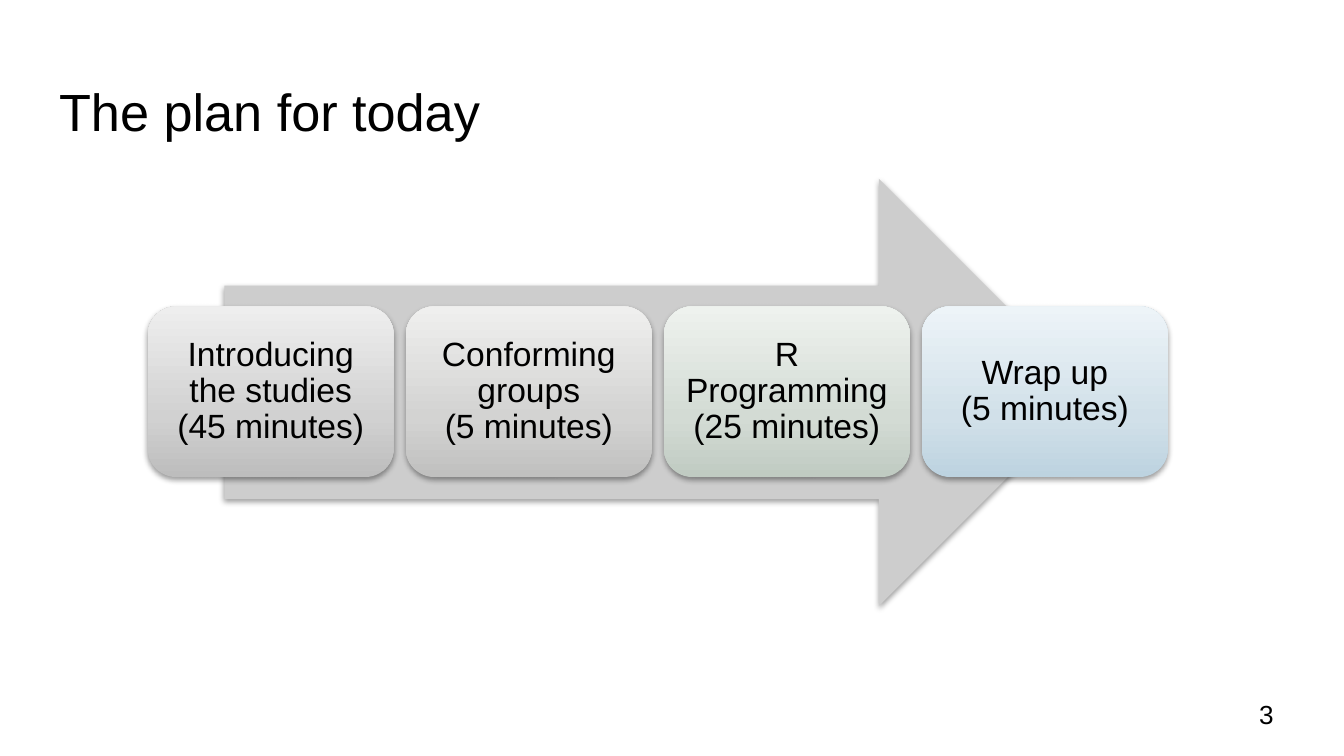
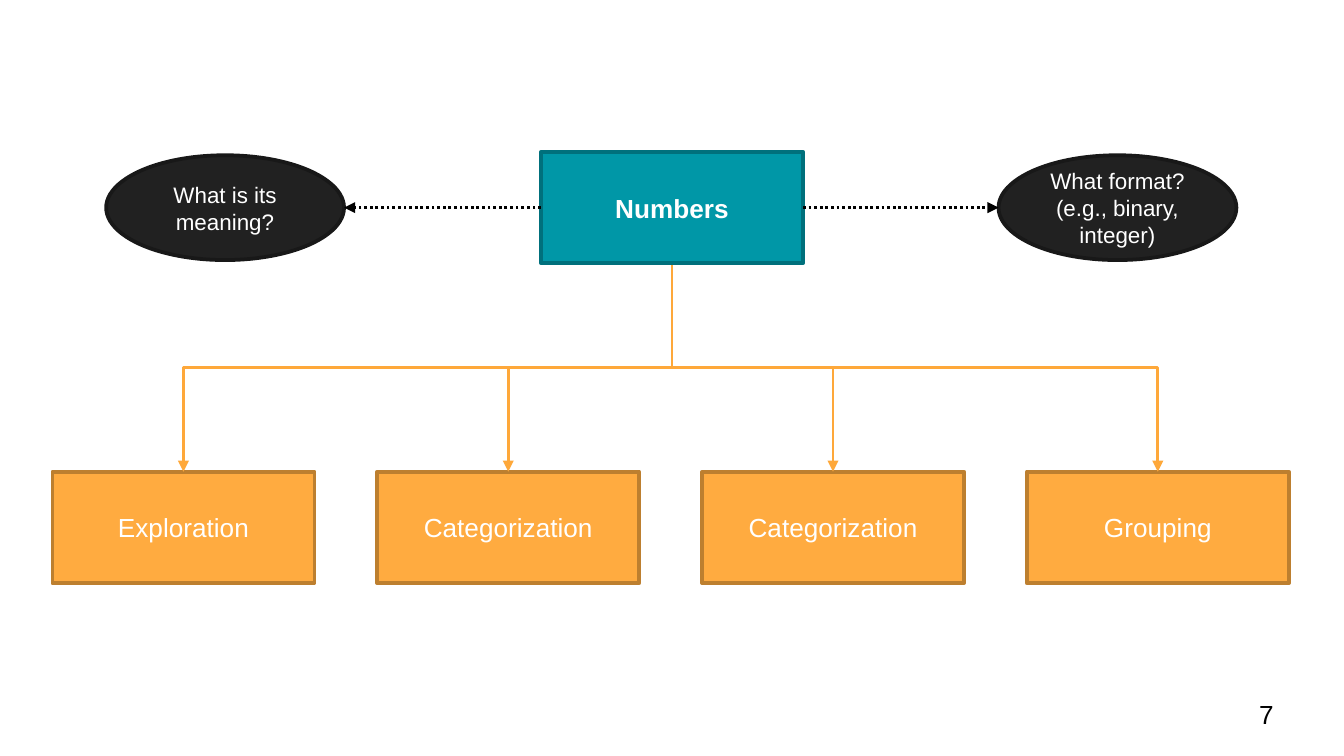
from copy import deepcopy

from lxml import etree
from pptx import Presentation
from pptx.dml.color import RGBColor
from pptx.enum import dml, shapes, text
from pptx.oxml.ns import qn
from pptx.util import Inches, Pt

# Content
PLAN_TITLE = "The plan for today"
PLAN_STEPS = [  # label, gradient from bottom to top
    ("Introducing the studies (45 minutes)", ("BDBDBD", "D1D1D1", "EEEEEE")),
    ("Conforming groups\v(5 minutes)", ("C0C0BF", "D3D3D2", "EFEFEE")),
    ("R Programming (25 minutes)", ("C0CBC2", "D3DBD4", "EEF2EE")),
    ("Wrap up\v(5 minutes)", ("BDD3E0", "D1E0E9", "EDF4F8")),
]
ROOT = "Numbers"
QUESTIONS = [("What is its meaning?", 0.79),
             ("What format? (e.g., binary, integer)", 7.43)]
TASKS = ["Exploration", "Categorization", "Categorization", "Grouping"]

# Style
FONT = "Arial"
COLORS = {
    "black": "000000", "white": "FFFFFF", "arrow": "CDCDCD",
    "task": "FFAB40", "task_edge": "BD7F2F", "branch": "FEA83A",
    "root": "0097A7", "root_edge": "00707C",
    "question": "212121", "question_edge": "181818",
}
SLIDE_W = 10
SLIDE_H = SLIDE_W * 9 / 16


def rgb(name):
    return RGBColor.from_string(COLORS.get(name, name))


def write(sp, words, size=14, color="black", bold=False, align="CENTER",
          anchor="MIDDLE", inset=0.1, spacing=None):
    tf = sp.text_frame
    tf.word_wrap = True
    tf.auto_size = text.MSO_AUTO_SIZE.NONE
    tf.vertical_anchor = text.MSO_ANCHOR[anchor]
    tf.margin_left = tf.margin_right = Inches(inset)
    tf.margin_top = tf.margin_bottom = Inches(inset)
    tf.text = words
    p = tf.paragraphs[0]
    p.alignment = text.PP_ALIGN[align]
    if spacing:
        p.line_spacing = spacing
    for r in p.runs:
        r.font.name, r.font.size, r.font.bold = FONT, Pt(size), bold
        r.font.color.rgb = rgb(color)


def add_box(s, kind, x, y, w, h, fill=None, edge=None):
    sp = s.shapes.add_shape(shapes.MSO_SHAPE[kind], *map(Inches, (x, y, w, h)))
    sp.shadow.inherit = False
    if fill:
        sp.fill.solid()
        sp.fill.fore_color.rgb = rgb(fill)
    if edge:
        sp.line.color.rgb = rgb(edge)
        sp.line.width = Pt(2)
    else:
        sp.line.fill.background()
    return sp


def add_shadow(sp):
    effects = sp._element.spPr.find(qn("a:effectLst"))
    shadow = etree.SubElement(effects, qn("a:outerShdw"), blurRad=str(Pt(3.1)),
                              dist=str(Pt(1.6)), dir="5400000", rotWithShape="0")
    color = etree.SubElement(shadow, qn("a:srgbClr"), val=COLORS["black"])
    etree.SubElement(color, qn("a:alpha"), val="38000")


def fill_gradient(sp, colors):
    sp.fill.gradient()
    sp.fill.gradient_angle = 90
    stops = sp._element.spPr.find(qn("a:gradFill")).find(qn("a:gsLst"))
    stops.insert(1, deepcopy(stops[0]))
    for stop, position, color in zip(sp.fill.gradient_stops, (0, 0.35, 1), colors):
        stop.position = position
        stop.color.rgb = rgb(color)


def add_arrow(s, kind, x1, y1, x2, y2, color, dash=None):
    line = s.shapes.add_connector(shapes.MSO_CONNECTOR[kind],
                                  *map(Inches, (x1, y1, x2, y2)))
    line.line.color.rgb = rgb(color)
    line.line.width = Pt(1.5)
    if dash:
        line.line.dash_style = dash
    etree.SubElement(line.line._get_or_add_ln(), qn("a:tailEnd"), type="triangle")
    etree.SubElement(line._element.spPr, qn("a:effectLst"))
    return line


def add_branch(s, x1, y1, x2, y2):
    """Elbow that leaves downwards: a sideways elbow turned by a quarter."""
    cx, cy = (x1 + x2) / 2, (y1 + y2) / 2
    half_w, half_h = (y2 - y1) / 2, abs(x2 - x1) / 2
    side = 1 if x2 < x1 else -1
    line = add_arrow(s, "ELBOW", cx - side * half_w, cy - half_h,
                     cx + side * half_w, cy + half_h, "branch")
    line._element.spPr.xfrm.set("rot", "5400000" if side == 1 else "16200000")


def add_slide(prs, layout, number):
    s = prs.slides.add_slide(prs.slide_layouts.get_by_name(layout))
    box = s.shapes.add_textbox(*map(Inches, (9.27, 5.1, 0.6, 0.43)))
    write(box, str(number), align="LEFT")
    return s


def build_plan(prs):
    s = add_slide(prs, "Title Only", 3)
    title = s.shapes.title
    title.left, title.top, title.width, title.height = map(
        Inches, (0.34, 0.49, 9.32, 0.63))
    write(title, PLAN_TITLE, size=28, align="LEFT", anchor="TOP")

    # Arrow behind the steps
    add_shadow(add_box(s, "RIGHT_ARROW", 1.67, 1.33, 6.46, 3.18, "arrow"))

    # Steps
    left, pitch = 1.1, 1.92
    for i, (label, colors) in enumerate(PLAN_STEPS):
        sp = add_box(s, "ROUNDED_RECTANGLE", left + i * pitch, 2.28, 1.83, 1.27)
        fill_gradient(sp, colors)
        add_shadow(sp)
        write(sp, label, size=18, inset=0.07, spacing=0.9)


def build_numbers(prs):
    s = add_slide(prs, "Blank", 7)
    box_w, box_h = 1.95, 0.83
    root_x, root_y = (SLIDE_W - box_w) / 2, 1.13
    root_mid = root_y + box_h / 2
    first_x, last_x, task_y = 0.39, 7.64, 3.51
    pitch = (last_x - first_x) / (len(TASKS) - 1)
    oval_w, oval_h = 1.77, 0.78

    # Tasks and their branches
    for i, label in enumerate(TASKS):
        x = first_x + i * pitch
        sp = add_box(s, "RECTANGLE", x, task_y, box_w, box_h, "task", "task_edge")
        write(sp, label, color="white")
        add_branch(s, SLIDE_W / 2, root_y + box_h, x + box_w / 2, task_y)

    # Root
    sp = add_box(s, "RECTANGLE", root_x, root_y, box_w, box_h, "root", "root_edge")
    write(sp, ROOT, color="white", bold=True)

    # Questions on both sides
    for label, x in QUESTIONS:
        sp = add_box(s, "OVAL", x, root_mid - oval_h / 2, oval_w, oval_h,
                     "question", "question_edge")
        write(sp, label, size=12, color="white")
        start, end = ((root_x, x + oval_w) if x < root_x
                      else (root_x + box_w, x))
        add_arrow(s, "STRAIGHT", start, root_mid, end, root_mid, "black",
                  dml.MSO_LINE.ROUND_DOT)


def main():
    prs = Presentation()
    prs.slide_width, prs.slide_height = Inches(SLIDE_W), Inches(SLIDE_H)
    build_plan(prs)
    build_numbers(prs)
    prs.save("out.pptx")


if __name__ == "__main__":
    main()
